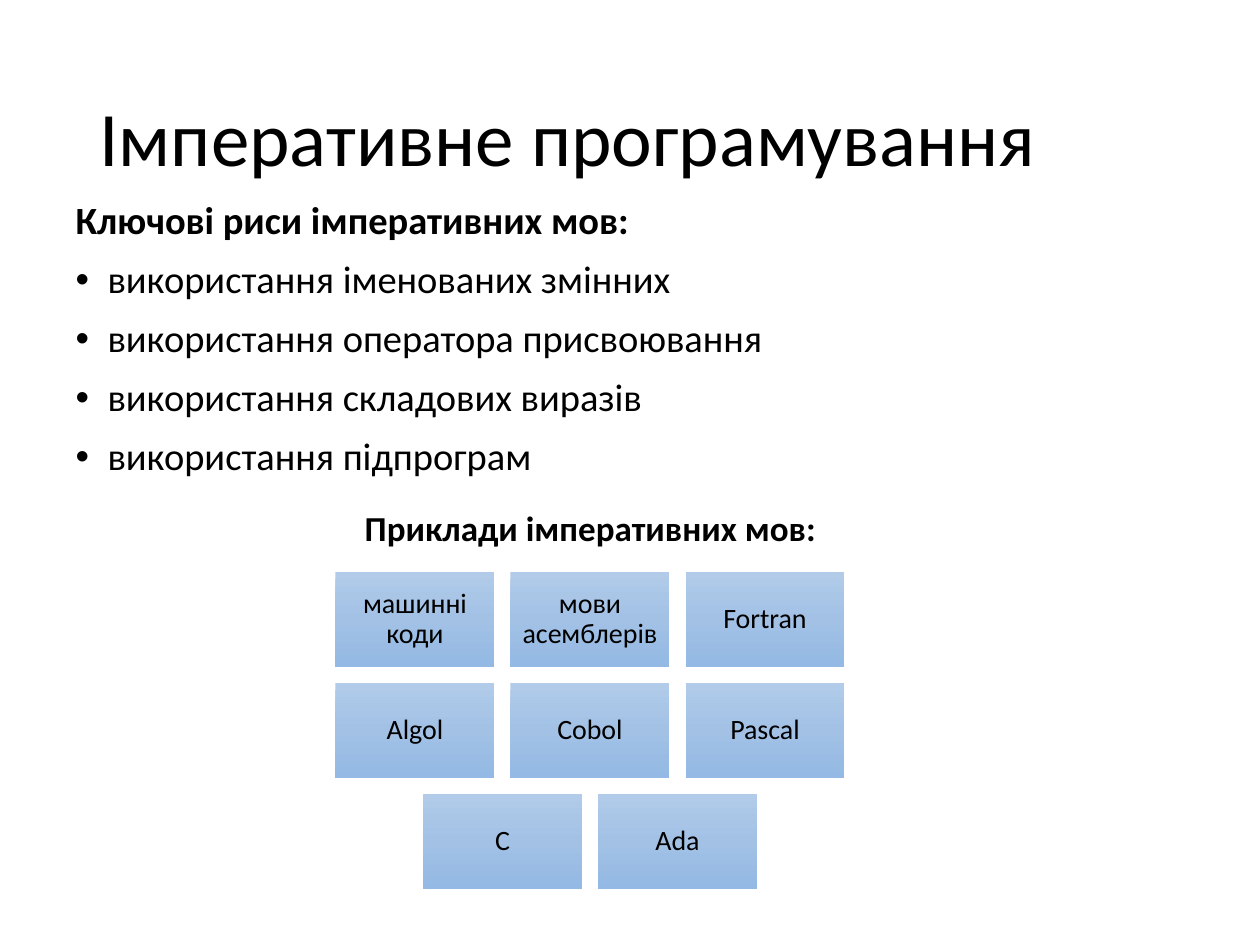
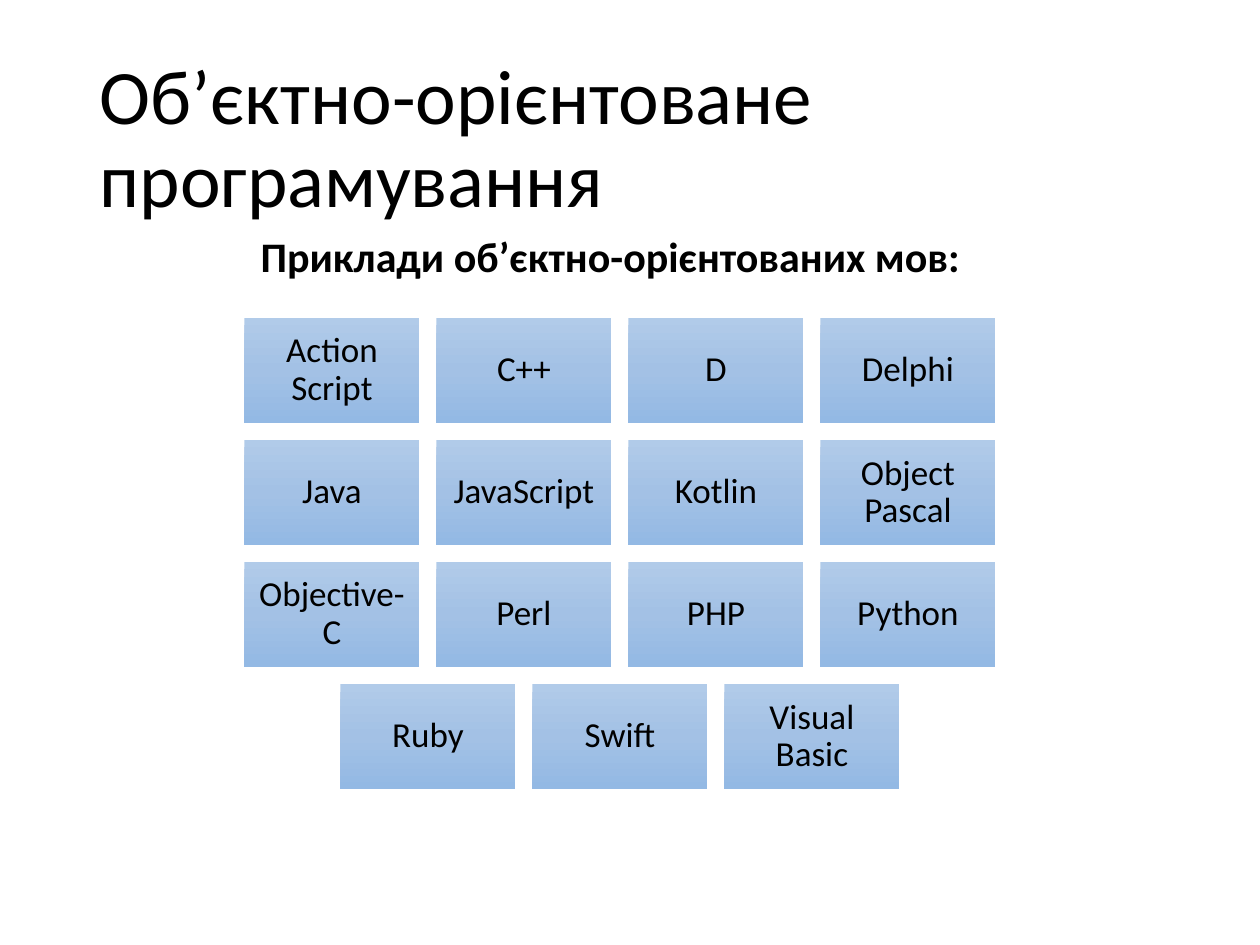
from copy import deepcopy
from pptx import Presentation, util as u
from pptx.dml.color import RGBColor
from pptx.enum import shapes, text
from pptx.oxml import ns, xmlchemy

# Content
SLIDES = [
    dict(
        title="Імперативне програмування",
        heading="Ключові риси імперативних мов:",
        features=[
            "використання іменованих змінних",
            "використання оператора присвоювання",
            "використання складових виразів",
            "використання підпрограм",
        ],
        caption=("Приклади імперативних мов:", (333, 500, 515, 55), 20),
        languages=["машинні коди", "мови асемблерів", "Fortran", "Algol",
                   "Cobol", "Pascal", "C", "Ada"],
        grid=dict(columns=3, center=590, top=572, width=159, height=95,
                  gap=16, inset=9, size=16),
    ),
    dict(
        title="Об’єктно-орієнтоване програмування",
        caption=("Приклади об’єктно-орієнтованих мов:", (194, 224, 833, 63), 24),
        languages=["Action Script", "C++", "D", "Delphi", "Java", "JavaScript",
                   "Kotlin", "Object Pascal", "Objective-C", "Perl", "PHP",
                   "Python", "Ruby", "Swift", "Visual Basic"],
        grid=dict(columns=4, center=620, top=318, width=175, height=105,
                  gap=17, inset=10, size=20),
    ),
]

# Shared style
FONT = "Calibri"
BLACK = RGBColor(0, 0, 0)
TILE_STOPS = [(0, RGBColor(0xB1, 0xCB, 0xE9)),
              (0.5, RGBColor(0xA3, 0xC1, 0xE5)),
              (1, RGBColor(0x93, 0xB9, 0xE4))]
TITLE_BOX = (87, 50, 1086, 183)
BODY_BOX = (63, 195, 1134, 287)
BULLET_INDENT = 32
LAYOUT_BODY, LAYOUT_TITLE_ONLY = 1, 5


def px(n):
    return u.Emu(round(n * 914400 / 126))


def place(sp, box):
    sp.left, sp.top, sp.width, sp.height = map(px, box)


def set_attrs(obj, values):
    for name, value in values.items():
        setattr(obj, name, value)


def write(p, words, size, bold=False, **layout):
    r = p.add_run()
    r.text = words
    set_attrs(r.font, dict(name=FONT, size=u.Pt(size), bold=bold))
    r.font.color.rgb = BLACK
    set_attrs(p, layout)


def set_bullet(p, char=None):
    pPr = p._p.get_or_add_pPr()
    indent = px(BULLET_INDENT) if char else 0
    pPr.set("marL", str(indent))
    pPr.set("indent", str(-indent))
    if char:
        font = xmlchemy.OxmlElement("a:buFont")
        font.set("typeface", "Arial")
        bullet = xmlchemy.OxmlElement("a:buChar")
        bullet.set("char", char)
        pPr.extend([font, bullet])
    else:
        pPr.append(xmlchemy.OxmlElement("a:buNone"))


def add_title(s, words):
    sp = s.shapes.title
    place(sp, TITLE_BOX)
    tf = sp.text_frame
    set_attrs(tf, dict(auto_size=text.MSO_AUTO_SIZE.NONE, word_wrap=True,
                       vertical_anchor=text.MSO_ANCHOR.MIDDLE))
    write(tf.paragraphs[0], words, 44, line_spacing=0.9,
          alignment=text.PP_ALIGN.LEFT)


def add_features(s, heading, features):
    sp = s.placeholders[1]
    place(sp, BODY_BOX)
    tf = sp.text_frame
    set_attrs(tf, dict(auto_size=text.MSO_AUTO_SIZE.NONE, word_wrap=True))
    for i, words in enumerate([heading] + features):
        p = tf.add_paragraph() if i else tf.paragraphs[0]
        write(p, words, 22, bold=i == 0, line_spacing=0.9,
              space_before=u.Pt(10))
        set_bullet(p, "•" if i else None)


def fill_tile(sp):
    sp.shadow.inherit = False
    sp.line.fill.background()
    sp.fill.gradient()
    sp.fill.gradient_angle = 270
    first = sp._element.spPr.find(".//" + ns.qn("a:gs"))
    first.addnext(deepcopy(first))
    for stop, (position, color) in zip(sp.fill.gradient_stops, TILE_STOPS):
        stop.position = position
        stop.color.rgb = color


def add_tiles(s, languages, columns, center, top, width, height, gap, inset,
              size):
    group = s.shapes.add_group_shape()
    for start in range(0, len(languages), columns):
        row = languages[start:start + columns]
        # Every row is centred, the short last one too
        left = center - (len(row) * (width + gap) - gap) / 2
        y = top + start // columns * (height + gap)
        for i, language in enumerate(row):
            box = (left + i * (width + gap), y, width, height)
            sp = group.shapes.add_shape(shapes.MSO_SHAPE.RECTANGLE,
                                        *map(px, box))
            fill_tile(sp)
            tf = sp.text_frame
            set_attrs(tf, dict(word_wrap=True,
                               vertical_anchor=text.MSO_ANCHOR.MIDDLE))
            set_attrs(tf, {f"margin_{side}": px(inset) for side in
                           ("left", "top", "right", "bottom")})
            write(tf.paragraphs[0], language, size, line_spacing=0.9,
                  alignment=text.PP_ALIGN.CENTER)


def add_caption(s, words, box, size):
    tf = s.shapes.add_textbox(*map(px, box)).text_frame
    set_attrs(tf, dict(word_wrap=True,
                       auto_size=text.MSO_AUTO_SIZE.SHAPE_TO_FIT_TEXT))
    write(tf.paragraphs[0], words, size, bold=True,
          alignment=text.PP_ALIGN.CENTER)


def main():
    prs = Presentation()
    prs.slide_width, prs.slide_height = px(1260), px(945)
    for content in SLIDES:
        has_body = "features" in content
        layout = LAYOUT_BODY if has_body else LAYOUT_TITLE_ONLY
        s = prs.slides.add_slide(prs.slide_layouts[layout])
        add_title(s, content["title"])
        if has_body:
            add_features(s, content["heading"], content["features"])
        add_tiles(s, content["languages"], **content["grid"])
        add_caption(s, *content["caption"])
    prs.save("out.pptx")


if __name__ == "__main__":
    main()
